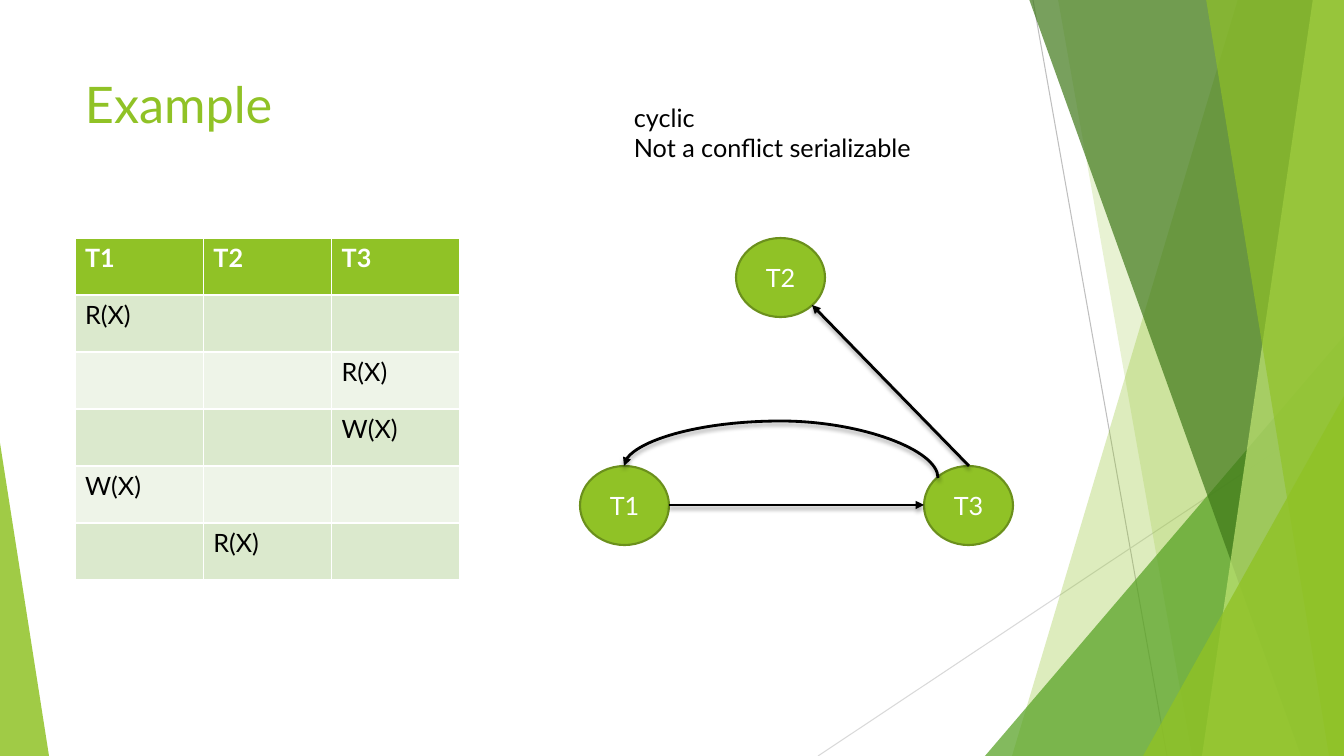
from dataclasses import dataclass

from lxml.etree import SubElement
from pptx import Presentation
from pptx.dml.color import RGBColor
from pptx.enum.shapes import MSO_CONNECTOR as Link, MSO_SHAPE as Preset
from pptx.enum.text import MSO_ANCHOR as Anchor, PP_ALIGN as Align
from pptx.oxml import parse_xml
from pptx.oxml.ns import nsdecls, qn
from pptx.util import Pt


@dataclass
class Theme:
    font: str = "Lato"
    title_size: int = 36
    body_size: int = 18
    green: str = "90C226"
    grass: str = "54A021"
    forest: str = "3F7819"
    lime: str = "C0E474"
    outline: str = "6B901C"
    dark_band: str = "DBE9CD"
    light_band: str = "EEF4E8"
    grey: str = "BFBFBF"
    pale_grey: str = "D9D9D9"
    black: str = "000000"
    white: str = "FFFFFF"


def write(frame, lines, color, size, bold=False, align=Align.LEFT):
    frame.word_wrap = True
    for i, line in enumerate(lines):
        paragraph = frame.paragraphs[0] if i == 0 else frame.add_paragraph()
        paragraph.alignment = align
        run = paragraph.add_run()
        run.text = line
        run.font.name = theme.font
        run.font.size = Pt(size)
        run.font.bold = bold
        run.font.color.rgb = RGBColor.from_string(color)


def draw_line(kind, start, end, color, width):
    line = shapes.add_connector(kind, *(n * PX for n in start + end))
    line.line.color.rgb = RGBColor.from_string(color)
    line.line.width = Pt(width)
    SubElement(line._element.spPr, qn("a:effectLst"))
    return line


theme = Theme()
PX = 9071
WIDTH, HEIGHT = 1344, 756

deck = Presentation()
deck.slide_width = WIDTH * PX
deck.slide_height = HEIGHT * PX
shapes = deck.slides.add_slide(deck.slide_layouts[6]).shapes

draw_line(Link.STRAIGHT, (1033, 0), (1167, HEIGHT), theme.grey, 0.75)
draw_line(Link.STRAIGHT, (WIDTH, 406), (818, HEIGHT), theme.pale_grey, 0.75)

facets = [
    ("band", (1238, 1012), theme.green, 30),
    ("band", (1058, 1192), theme.green, 20),
    ("triangle", (985, 336, 359, 420, 1), theme.grass, 72),
    ("band", (1029, 1301), theme.forest, 70),
    ("band", (1313, 1202), theme.lime, 70),
    ("band", (1206, 1329), theme.green, 65),
    ("triangle", (1143, 396, 201, 360, 1), theme.green, 80),
    ("triangle", (0, 443, 49, 313, 0), theme.green, 85),
]
for kind, place, color, opacity in facets:
    if kind == "band":
        top_x, bottom_x = place
        outline = shapes.build_freeform(top_x, -1, scale=PX)
        outline.add_line_segments([(WIDTH, -1), (WIDTH, HEIGHT), (bottom_x, HEIGHT)])
        facet = outline.convert_to_shape()
    else:
        *box, peak = place
        facet = shapes.add_shape(Preset.ISOSCELES_TRIANGLE, *(n * PX for n in box))
        facet.adjustments[0] = peak
    facet.shadow.inherit = False
    facet.line.fill.background()
    facet.fill.solid()
    facet.fill.fore_color.rgb = RGBColor.from_string(color)
    tint = facet._element.spPr.find(qn("a:solidFill"))[0]
    SubElement(tint, qn("a:alpha"), val=str(opacity * 1000))

title = shapes.add_textbox(75 * PX, 68 * PX, 948 * PX, 145 * PX)
write(title.text_frame, ["Example"], theme.green, theme.title_size)

schedule = [
    ("T1", "T2", "T3"),
    ("R(X)", "", ""),
    ("", "", "R(X)"),
    ("", "", "W(X)"),
    ("W(X)", "", ""),
    ("", "R(X)", ""),
]
schedule_table = shapes.add_table(6, 3, 75 * PX, 238 * PX, 385 * PX, 342 * PX).table
for r, steps in enumerate(schedule):
    header = r == 0
    band = theme.green if header else (theme.light_band, theme.dark_band)[r % 2]
    for c, step in enumerate(steps):
        cell = schedule_table.cell(r, c)
        cell.fill.solid()
        cell.fill.fore_color.rgb = RGBColor.from_string(band)
        if step:
            ink = theme.white if header else theme.black
            write(cell.text_frame, [step], ink, theme.body_size, header)

for name, left, top in [("T1", 580, 466), ("T3", 924, 466), ("T2", 736, 238)]:
    node = shapes.add_shape(Preset.OVAL, left * PX, top * PX, 89 * PX, 79 * PX)
    node.shadow.inherit = False
    node.fill.solid()
    node.fill.fore_color.rgb = RGBColor.from_string(theme.green)
    node.line.color.rgb = RGBColor.from_string(theme.outline)
    node.line.width = Pt(1.5)
    node.text_frame.vertical_anchor = Anchor.MIDDLE
    write(node.text_frame, [name], theme.white, theme.body_size, align=Align.CENTER)

verdict = shapes.add_textbox(624 * PX, 97 * PX, 327 * PX, 72 * PX)
verdict_lines = ["cyclic", "Not a conflict serializable"]
write(verdict.text_frame, verdict_lines, theme.black, theme.body_size)

conflicts = [
    (Link.STRAIGHT, (669, 505), (924, 505)),
    (Link.STRAIGHT, (969, 466), (812, 305)),
    (Link.CURVE, (775, 629), (787, 315)),
]
for kind, start, end in conflicts:
    arrow = draw_line(kind, start, end, theme.black, 2)
    properties = arrow._element.spPr
    SubElement(properties.find(qn("a:ln")), qn("a:tailEnd"), type="triangle")
    properties.find(qn("a:effectLst")).append(parse_xml(
        f'<a:outerShdw {nsdecls("a")} blurRad="{Pt(3)}" dist="{Pt(2)}" dir="5400000" rotWithShape="0">'
        f'<a:srgbClr val="{theme.black}"><a:alpha val="35000"/></a:srgbClr></a:outerShdw>'))
    if kind == Link.CURVE:
        properties.find(qn("a:xfrm")).set("rot", str(270 * 60000))
        guides = properties.find(qn("a:prstGeom")).find(qn("a:avLst"))
        SubElement(guides, qn("a:gd"), name="adj1", fmla="val 475000")

deck.save("out.pptx")
